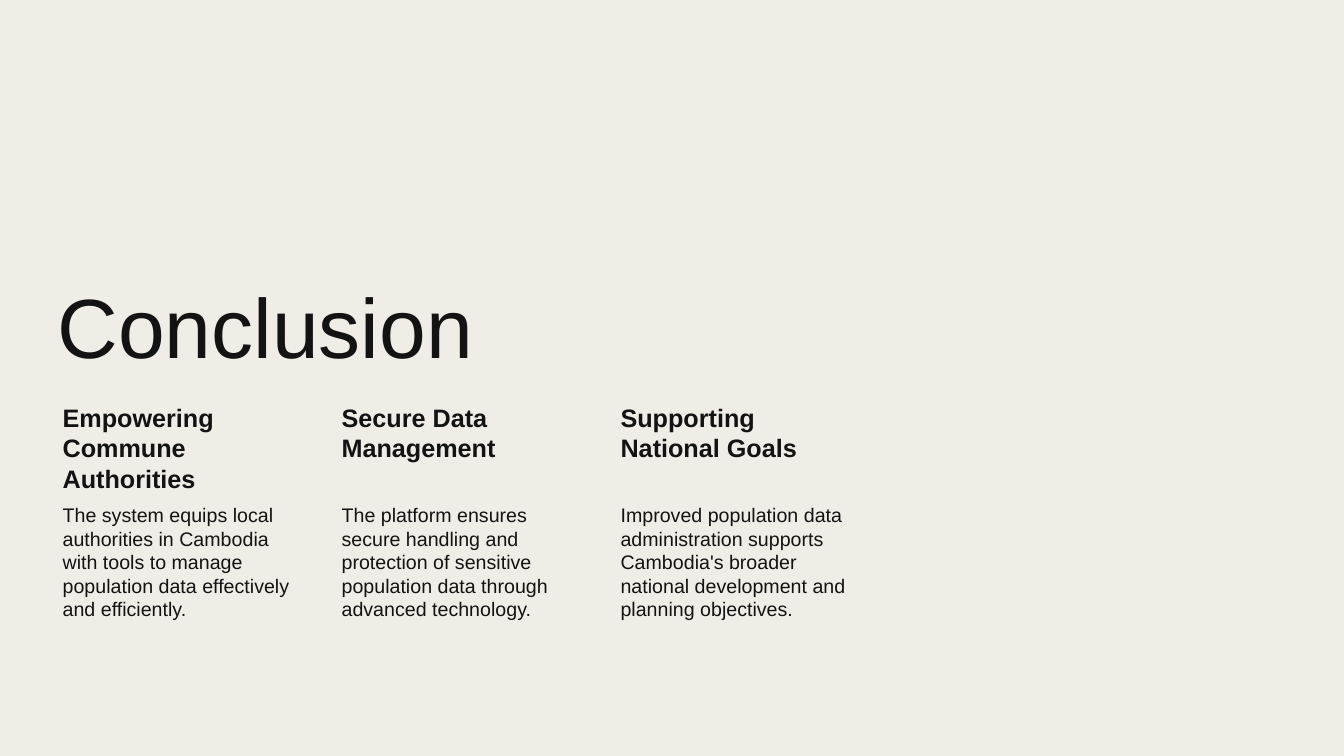
from pptx import Presentation
from pptx.dml.color import RGBColor
from pptx.enum.text import MSO_ANCHOR
from pptx.util import Cm, Pt

COLORS = {"background": "F0EDE6", "text": "131313"}
FONT = "Arial"

LEFT, COLUMN_WIDTH, COLUMN_PITCH = 1.2, 6.4, 7.03
TITLE_TOP, TITLE_HEIGHT = 4.52, 5.1
COLUMNS_TOP, HEADING_HEIGHT, BODY_HEIGHT = 10.06, 2.56, 3.63

TAKEAWAYS = [
    ("Empowering Commune Authorities",
     "The system equips local authorities in Cambodia with tools to manage "
     "population data effectively and efficiently."),
    ("Secure Data Management",
     "The platform ensures secure handling and protection of sensitive "
     "population data through advanced technology."),
    ("Supporting National Goals",
     "Improved population data administration supports Cambodia's broader "
     "national development and planning objectives."),
]


def add_text(slide, box, text, font, frame, line_spacing=1.0):
    """Place one paragraph in box (left, top, width, height in cm)."""
    tf = slide.shapes.add_textbox(*map(Cm, box)).text_frame
    for name, value in {"word_wrap": True, **frame}.items():
        setattr(tf, name, value)
    p = tf.paragraphs[0]
    p.line_spacing = line_spacing
    r = p.add_run()
    r.text = text
    for name, value in {"name": FONT, **font}.items():
        setattr(r.font, name, value)
    r.font.color.rgb = RGBColor.from_string(COLORS["text"])


def add_title(slide, box, text):
    add_text(slide, box, text, {"size": Pt(60)},
             {"vertical_anchor": MSO_ANCHOR.BOTTOM}, line_spacing=0.9)


def inset_frame(inset):
    """Wide left margin, with the same small inset on the other sides."""
    return {"margin_left": Cm(0.38), "margin_top": Cm(inset),
            "margin_right": Cm(inset), "margin_bottom": Cm(inset)}


def add_takeaway(slide, box, heading, body):
    left, top, width, height = box
    add_text(slide, (left, top, width, HEADING_HEIGHT), heading,
             {"size": Pt(18), "bold": True}, inset_frame(0.08))
    add_text(slide, (left, top + HEADING_HEIGHT, width, height - HEADING_HEIGHT),
             body, {"size": Pt(14)}, inset_frame(0.06))


def add_conclusion_slide(prs):
    s = prs.slides.add_slide(prs.slide_layouts[6])
    fill = s.background.fill
    fill.solid()
    fill.fore_color.rgb = RGBColor.from_string(COLORS["background"])
    title_width = 2 * COLUMN_PITCH + COLUMN_WIDTH
    add_title(s, (LEFT, TITLE_TOP, title_width, TITLE_HEIGHT), "Conclusion")
    for i, (heading, body) in enumerate(TAKEAWAYS):
        box = (LEFT + i * COLUMN_PITCH, COLUMNS_TOP,
               COLUMN_WIDTH, HEADING_HEIGHT + BODY_HEIGHT)
        add_takeaway(s, box, heading, body)


def main():
    prs = Presentation()
    prs.slide_width, prs.slide_height = Cm(33.87), Cm(19.05)
    add_conclusion_slide(prs)
    prs.save("out.pptx")


if __name__ == "__main__":
    main()
